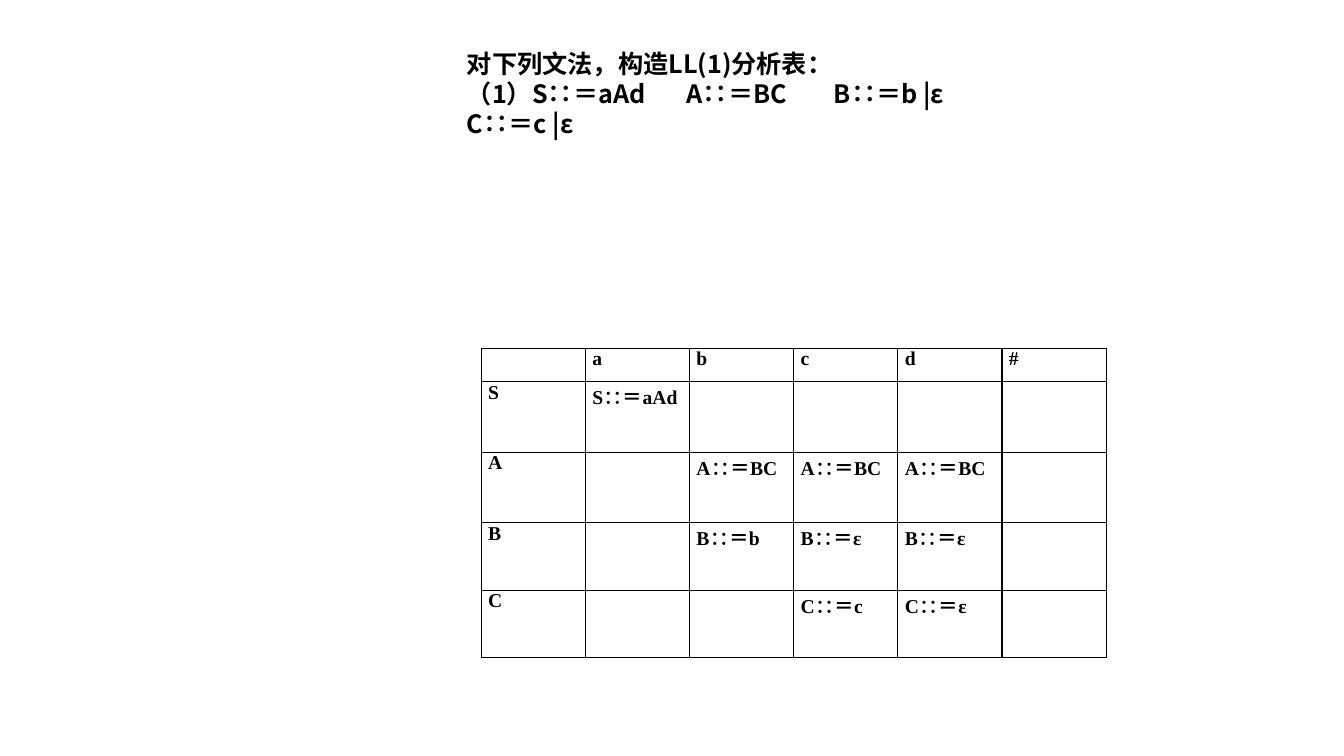
from lxml import etree
from pptx import Presentation, util as u
from pptx.dml.color import RGBColor
from pptx.enum import text
from pptx.oxml import ns

INK = {"text": "000000", "line": "000000"}
FONT = {"title": "Noto Sans CJK SC", "table": "Times New Roman"}

TITLE = ["对下列文法，构造LL(1)分析表：",
         "（1）S∷＝aAd\tA∷＝BC\tB∷＝b |ε",
         "C∷＝c |ε"]
RULES = [["", "a", "b", "c", "d", "#"],
         ["S", "S∷＝aAd", "", "", "", ""],
         ["A", "", "A∷＝BC", "A∷＝BC", "A∷＝BC", ""],
         ["B", "", "B∷＝b", "B∷＝ε", "B∷＝ε", ""],
         ["C", "", "", "C∷＝c", "C∷＝ε", ""]]


class Board:
    """Holds the style and the current slide; lengths are shares of its size."""

    def __init__(self, deck):
        self.wide, self.high = deck.slide_width, deck.slide_height
        self.slide = deck.slides.add_slide(deck.slide_layouts[6])

    def box(self, left, top, width, height):
        return (int(left * self.wide), int(top * self.high),
                int(width * self.wide), int(height * self.high))

    def style(self, para, face, size):
        font = para.font
        font.name, font.size, font.bold = face, u.Pt(size), True
        font.color.rgb = RGBColor.from_string(INK["text"])
        base = para._p.pPr.find(ns.qn("a:defRPr"))
        etree.SubElement(base, ns.qn("a:ea"), typeface=FONT["title"])

    def tabs(self, para, stops):
        list_ = etree.SubElement(para._p.get_or_add_pPr(), ns.qn("a:tabLst"))
        for stop in stops:
            etree.SubElement(list_, ns.qn("a:tab"), pos=str(u.Inches(stop)), algn="l")

    def title(self, lines, place, stops):
        frame = self.slide.shapes.add_textbox(*self.box(*place)).text_frame
        frame.word_wrap = True
        frame.auto_size = text.MSO_AUTO_SIZE.SHAPE_TO_FIT_TEXT
        frame.text = "\n".join(lines)
        for para in frame.paragraphs:
            if "\t" in para.text:
                self.tabs(para, stops)
            self.style(para, FONT["title"], 18)

    def border(self, cell):
        props = cell._tc.get_or_add_tcPr()
        for spot, side in enumerate(("lnL", "lnR", "lnT", "lnB")):
            line = etree.Element(ns.qn("a:" + side), w=str(u.Pt(1)))
            fill = etree.SubElement(line, ns.qn("a:solidFill"))
            etree.SubElement(fill, ns.qn("a:srgbClr"), val=INK["line"])
            props.insert(spot, line)

    def cell(self, cell, words):
        cell.text = words
        cell.margin_left = cell.margin_right = u.Inches(0.07)
        cell.margin_top = cell.margin_bottom = 0
        cell.fill.background()
        self.border(cell)
        para = cell.text_frame.paragraphs[0]
        para.alignment = text.PP_ALIGN.JUSTIFY
        self.style(para, FONT["table"], 14)

    def table(self, data, place, rows):
        grid = self.slide.shapes.add_table(
            len(data), len(data[0]), *self.box(*place)).table
        grid.first_row = grid.horz_banding = False
        for row, high, line in zip(grid.rows, rows, data):
            row.height = u.Inches(high)
            for cell, words in zip(row.cells, line):
                self.cell(cell, words)


def main():
    deck = Presentation()
    deck.slide_width, deck.slide_height = u.Inches(13.33), u.Inches(7.5)
    board = Board(deck)
    # Grammar
    board.title(TITLE, (0.34, 0.057, 0.593, 0.135), (2.18, 3.64))
    # LL(1) parsing table
    board.table(RULES, (0.358, 0.461, 0.465, 0.41), (0.33, 0.7, 0.7, 0.67, 0.67))
    deck.save("out.pptx")


if __name__ == "__main__":
    main()
